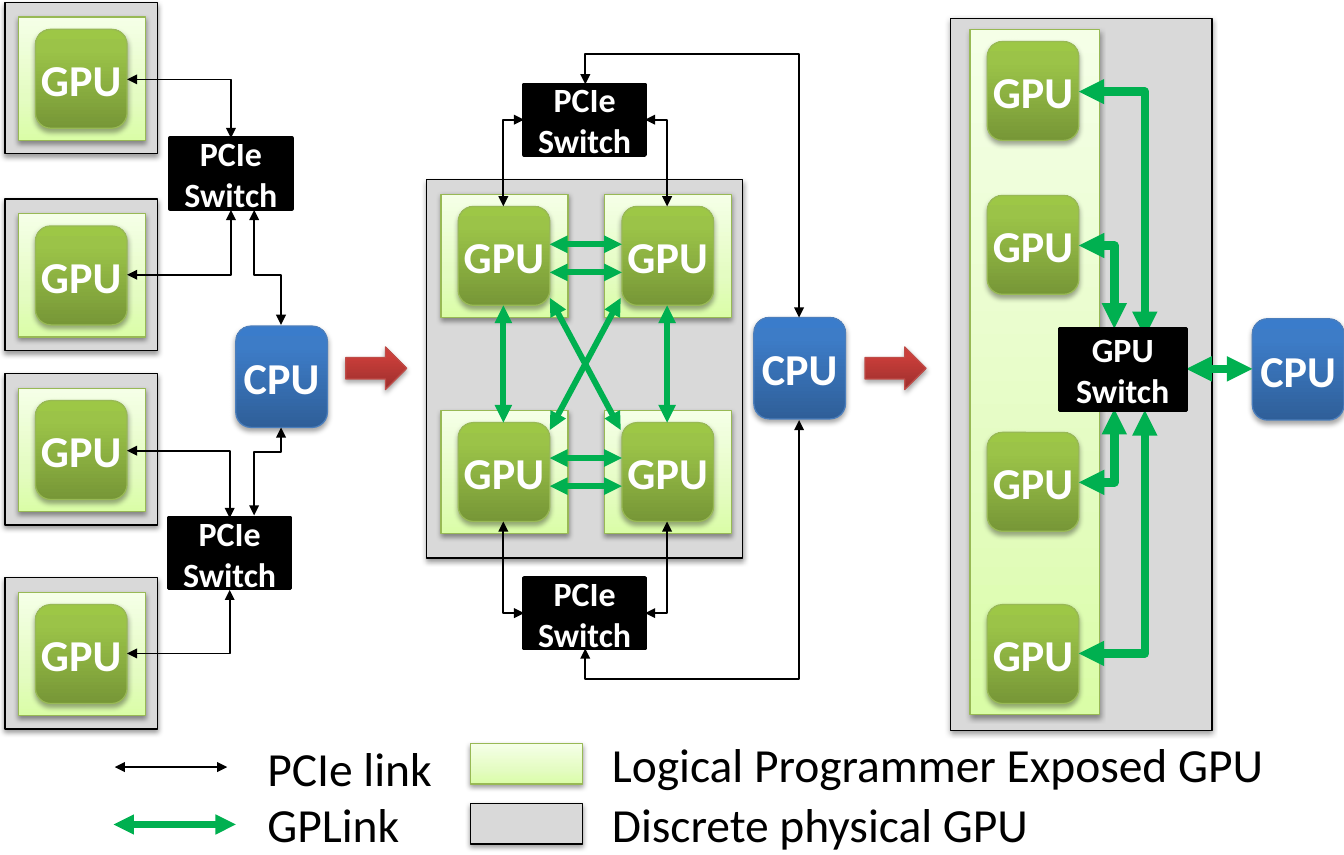
import copy
import lxml.etree
import pptx
import pptx.util
import pptx.oxml
import pptx.oxml.ns
import pptx.dml.color
import pptx.enum.shapes
import pptx.enum.text

Inches, Pt = pptx.util.Inches, pptx.util.Pt
RGBColor = pptx.dml.color.RGBColor
SHAPE = pptx.enum.shapes.MSO_SHAPE
CONNECTOR = pptx.enum.shapes.MSO_CONNECTOR
ALIGN = pptx.enum.text.PP_ALIGN
qn = pptx.oxml.ns.qn

FONT = "Calibri"
BLACK = RGBColor(0, 0, 0)
WHITE = RGBColor(255, 255, 255)
GRAY = RGBColor(0xD9, 0xD9, 0xD9)
GREEN = RGBColor(0x00, 0xB0, 0x50)
OLIVE = RGBColor(0x98, 0xB9, 0x55)
PALE = [(0, RGBColor(0xDA, 0xFD, 0xA7)), (0.35, RGBColor(0xE4, 0xFC, 0xC2)), (1, RGBColor(0xF5, 0xFF, 0xE7))]
LEAF = [(0, RGBColor(0x77, 0x97, 0x37)), (0.8, RGBColor(0x9B, 0xC3, 0x48)), (1, RGBColor(0x9D, 0xC7, 0x46))]
BLUE = [(0, RGBColor(0x2F, 0x5F, 0x99)), (0.8, RGBColor(0x3D, 0x7C, 0xC7)), (1, RGBColor(0x3A, 0x7C, 0xCB))]
RED = [(0, RGBColor(0x9C, 0x2F, 0x2D)), (0.8, RGBColor(0xCB, 0x3E, 0x3A)), (1, RGBColor(0xCE, 0x3B, 0x37))]
BLUE_EDGE = RGBColor(0x4B, 0x7E, 0xBC)
RED_EDGE = RGBColor(0xBF, 0x4C, 0x48)
SOFT = (20000, 38000)
DEEP = (23000, 35000)

PCIE, GPLINK, GPLINK_WIDE = (BLACK, 1), (GREEN, 3.5), (GREEN, 5)

separate_gpus = [(0.29, y) for y in (0.24, 1.85, 3.28, 4.95)]
meshed_gpus = [(x, y) for y in (1.69, 3.46) for x in (3.75, 5.09)]
switched_gpus = [(8.08, y) for y in (0.34, 1.6, 3.54, 4.95)]
cpus = [(1.93, 2.67), (6.17, 2.6), (10.25, 2.61)]
stage_arrows = [(2.83, 2.84), (7.08, 2.84)]
physical_groups = [(3.49, 1.47, 2.59, 3.1), (7.78, 0.15, 2.14, 5.83), (3.85, 6.58, 0.92, 0.33)]
logical_groups = [(7.94, 0.24, 1.06, 5.61), (3.85, 6.09, 0.92, 0.33)]
switches = [
    (1.39, 1.13, 1, 0.58, ["PCIe Switch"]),
    (1.38, 4.24, 1, 0.58, ["PCIe Switch"]),
    (4.29, 0.69, 0.99, 0.58, ["PCIe Switch"]),
    (4.29, 4.73, 0.99, 0.58, ["PCIe Switch"]),
    (8.67, 2.69, 1.04, 0.67, ["GPU", "Switch"]),
]
straight_links = (
    [(x, 2.5, x, 3.46, GPLINK) for x in (4.12, 5.46)]
    + [(4.5, y, 5.09, y, GPLINK) for y in (2, 2.23, 3.75, 3.98)]
    + [(4.5, 2.44, 5.08, 3.52, GPLINK), (5.08, 2.44, 4.5, 3.52, GPLINK),
       (9.71, 3.02, 10.25, 3.02, GPLINK_WIDE),
       (0.94, 6.28, 1.86, 6.28, PCIE), (0.93, 6.75, 1.93, 6.75, (GREEN, 4))]
)
corner_links = [
    (1.04, 0.65, 1.89, 1.13, PCIE), (1.04, 2.25, 1.89, 1.72, PCIE),
    (1.04, 3.69, 1.88, 4.24, PCIE), (1.04, 5.35, 1.88, 4.83, PCIE),
    (4.29, 0.98, 4.12, 1.69, PCIE), (5.28, 0.98, 5.46, 1.69, PCIE),
    (4.29, 5.02, 4.12, 4.27, PCIE), (5.28, 5.02, 5.46, 4.27, PCIE),
    (8.83, 0.75, 9.37, 2.76, GPLINK_WIDE), (8.83, 2.01, 9.12, 2.69, GPLINK_WIDE),
    (8.83, 3.95, 9.12, 3.35, GPLINK_WIDE), (8.83, 5.35, 9.37, 3.36, GPLINK_WIDE),
]
cpu_links = [
    (2.3, 2.66, 2.08, 1.72, 2.25), (2.08, 4.22, 2.3, 3.5, 3.7),
    (6.54, 2.6, 4.79, 0.69, 0.44), (4.79, 5.31, 6.54, 3.44, 5.56),
]
legend = [
    (2.09, 6, 1.56, "PCIe link"), (2.09, 6.46, 1.41, "GPLink"),
    (4.91, 5.97, 5.59, "Logical Programmer Exposed GPU"), (4.91, 6.46, 3.65, "Discrete physical GPU"),
]

prs = pptx.Presentation()
prs.slide_width, prs.slide_height = Inches(11), Inches(7)
s = prs.slides.add_slide(prs.slide_layouts[6])


def paint(fill, colors):
    if isinstance(colors, RGBColor):
        fill.solid()
        fill.fore_color.rgb = colors
        return
    fill.gradient()
    fill.gradient_angle = 90
    last = fill.gradient_stops[1]._gs
    last.addnext(copy.deepcopy(last))
    for stop, (position, color) in zip(fill.gradient_stops, colors):
        stop.position = position
        stop.color.rgb = color


def add_block(kind, x, y, w, h, colors, edge, shadow=None, edge_width=0.75):
    sp = s.shapes.add_shape(kind, Inches(x), Inches(y), Inches(w), Inches(h))
    paint(sp.fill, colors)
    sp.line.color.rgb = edge
    sp.line.width = Pt(edge_width)
    sp.shadow.inherit = False
    if shadow:
        distance, alpha = shadow
        sp._element.spPr.find(qn("a:effectLst")).append(pptx.oxml.parse_xml(
            '<a:outerShdw xmlns:a="http://schemas.openxmlformats.org/drawingml/2006/main" '
            f'blurRad="40000" dist="{distance}" dir="5400000" rotWithShape="0">'
            f'<a:srgbClr val="000000"><a:alpha val="{alpha}"/></a:srgbClr></a:outerShdw>'))
    return sp


def write(sp, lines, size, color, bold=False, align=ALIGN.CENTER):
    tf = sp.text_frame
    tf.text = "\n".join(lines)
    for p in tf.paragraphs:
        p.alignment = align
        p.font.name, p.font.size, p.font.bold = FONT, Pt(size), bold
        p.font.color.rgb = color
    return tf


def add_chip(x, y, h, label, colors, edge):
    sp = add_block(SHAPE.ROUNDED_RECTANGLE, x, y, 0.75, h, colors, edge, DEEP)
    tf = write(sp, [label], 26, WHITE, True)
    tf.margin_left = tf.margin_right = tf.margin_top = tf.margin_bottom = 0


def add_link(kind, x1, y1, x2, y2, style):
    c = s.shapes.add_connector(kind, Inches(x1), Inches(y1), Inches(x2), Inches(y2))
    c.line.color.rgb, c.line.width = style[0], Pt(style[1])
    spPr = c._element.spPr
    for end in ("a:headEnd", "a:tailEnd"):
        lxml.etree.SubElement(spPr.find(qn("a:ln")), qn(end), type="triangle")
    lxml.etree.SubElement(spPr, qn("a:effectLst"))
    return spPr


def add_corner_link(*link):
    add_link(CONNECTOR.ELBOW, *link).find(qn("a:prstGeom")).set("prst", "bentConnector2")


def add_upright_link(x1, y1, x2, y2, bend_y):
    cx, cy = (x1 + x2) / 2, (y1 + y2) / 2
    half_w, half_h = (y1 - y2) / 2, (x2 - x1) / 2
    spPr = add_link(CONNECTOR.ELBOW, cx - half_w, cy - half_h, cx + half_w, cy + half_h, PCIE)
    spPr.find(qn("a:xfrm")).set("rot", "16200000")
    bend = round((y1 - bend_y) / (y1 - y2) * 100000)
    guides = spPr.find(qn("a:prstGeom")).find(qn("a:avLst"))
    lxml.etree.SubElement(guides, qn("a:gd"), name="adj1", fmla=f"val {bend}")


framed_gpus = separate_gpus + meshed_gpus
for box in physical_groups + [(x - 0.25, y - 0.22, 1.25, 1.24) for x, y in separate_gpus]:
    add_block(SHAPE.RECTANGLE, *box, GRAY, BLACK, SOFT)
for box in logical_groups + [(x - 0.14, y - 0.1, 1.04, 1.01) for x, y in framed_gpus]:
    add_block(SHAPE.RECTANGLE, *box, PALE, OLIVE, SOFT)
for x, y in framed_gpus + switched_gpus:
    add_chip(x, y, 0.81, "GPU", LEAF, OLIVE)
for x, y in cpus:
    add_chip(x, y, 0.83, "CPU", BLUE, BLUE_EDGE)
for x, y in stage_arrows:
    add_block(SHAPE.RIGHT_ARROW, x, y, 0.5, 0.35, RED, RED_EDGE, DEEP)
for link in straight_links:
    add_link(CONNECTOR.STRAIGHT, *link)
for link in corner_links:
    add_corner_link(*link)
for link in cpu_links:
    add_upright_link(*link)
for *box, lines in switches:
    write(add_block(SHAPE.RECTANGLE, *box, BLACK, BLACK, edge_width=2), lines, 20, WHITE, True)
for x, y, w, label in legend:
    sp = s.shapes.add_textbox(Inches(x), Inches(y), Inches(w), Inches(0.57))
    write(sp, [label], 28, BLACK, align=ALIGN.LEFT).word_wrap = False

prs.save("out.pptx")
